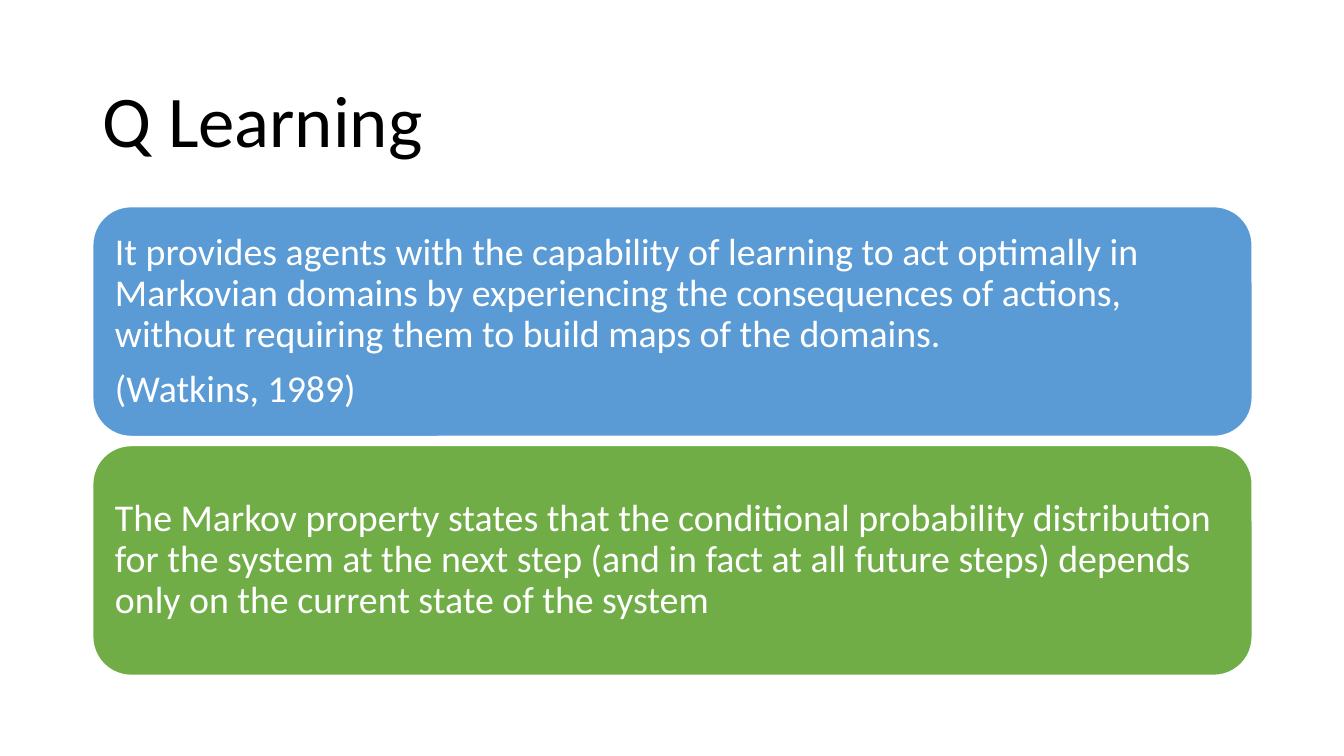
from pptx import Presentation
from pptx.dml.color import RGBColor
from pptx.enum import shapes, text
from pptx.util import Pt

PX = 9144
COLORS = {"black": "000000", "white": "FFFFFF", "blue": "5B9BD5", "green": "70AD47"}
LEFT, WIDTH = 92, 1150
CARD_TOP, CARD_HEIGHT, CARD_PITCH, CARD_INSET = 205, 228, 237, 11

CARDS = [
    ("blue", [
        "It provides agents with the capability of learning to act optimally in "
        "Markovian domains by experiencing the consequences of actions, "
        "without requiring them to build maps of the domains.",
        "(Watkins, 1989)",
    ]),
    ("green", [
        "The Markov property states that the conditional probability distribution "
        "for the system at the next step (and in fact at all future steps) depends "
        "only on the current state of the system",
    ]),
]


def rgb(name):
    return RGBColor.from_string(COLORS[name])


def px(*lengths):
    return [length * PX for length in lengths]


def write(frame, paragraphs, size, color, inset=10, space_after=0):
    frame.word_wrap = True
    frame.vertical_anchor = text.MSO_ANCHOR.MIDDLE
    frame.margin_left = frame.margin_right = inset * PX
    frame.margin_top = frame.margin_bottom = inset * PX
    for index, content in enumerate(paragraphs):
        paragraph = frame.add_paragraph() if index else frame.paragraphs[0]
        paragraph.text = content
        paragraph.alignment = text.PP_ALIGN.LEFT
        paragraph.line_spacing = 0.9
        paragraph.space_after = Pt(space_after)
        paragraph.font.name = "Calibri"
        paragraph.font.size = Pt(size)
        paragraph.font.color.rgb = rgb(color)


def add_title(slide, title):
    heading = slide.shapes.add_textbox(*px(LEFT, 61, WIDTH, 124))
    write(heading.text_frame, [title], size=52, color="black")


def add_card(slide, top, fill, paragraphs):
    card = slide.shapes.add_shape(
        shapes.MSO_SHAPE.ROUNDED_RECTANGLE, *px(LEFT, top, WIDTH, CARD_HEIGHT)
    )
    card.shadow.inherit = False
    card.fill.solid()
    card.fill.fore_color.rgb = rgb(fill)
    card.line.color.rgb = rgb("white")
    card.line.width = Pt(1)
    write(card.text_frame, paragraphs, size=27, color="white",
          inset=CARD_INSET, space_after=10)


def main():
    deck = Presentation()
    deck.slide_width, deck.slide_height = px(1333, 750)
    slide = deck.slides.add_slide(deck.slide_layouts[6])
    add_title(slide, "Q Learning")
    for index, (fill, paragraphs) in enumerate(CARDS):
        add_card(slide, CARD_TOP + index * CARD_PITCH, fill, paragraphs)
    deck.save("out.pptx")


if __name__ == "__main__":
    main()
